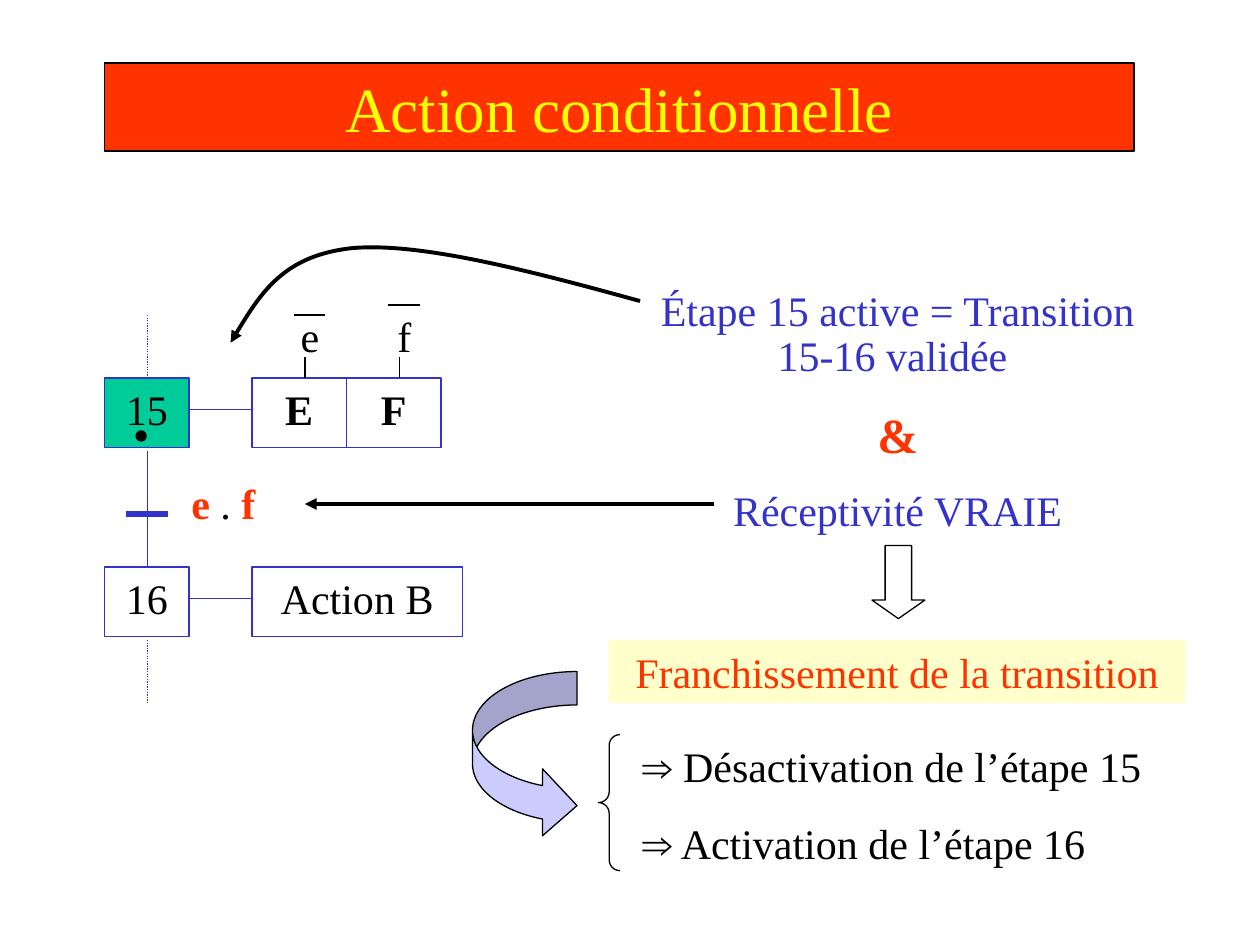
from lxml import etree
from pptx import Presentation
from pptx.dml.color import RGBColor
from pptx.enum import dml, shapes, text
from pptx.oxml import ns
from pptx.util import Inches, Pt

BLACK = RGBColor(0, 0, 0)
RED = RGBColor(0xFF, 0x33, 0x00)
YELLOW = RGBColor(0xFF, 0xFF, 0x00)
GREEN = RGBColor(0x00, 0xCC, 0x99)
BLUE = RGBColor(0x33, 0x33, 0xCC)
CREAM = RGBColor(0xFF, 0xFF, 0xCC)
LILAC = RGBColor(0xCC, 0xCC, 0xFF)
SERIF, SANS = "Times New Roman", "Arial"
KIND = shapes.MSO_SHAPE
CENTER, LEFT = text.PP_ALIGN.CENTER, text.PP_ALIGN.LEFT

# Runs: (text, colour, bold, size, font); only the first two are required
TITLE = [[("Action conditionnelle", YELLOW, False, 36)]]
RESULT = [[("Franchissement de la transition", RED)]]
RULE = [[("e", RED, True), (" . ", BLACK), ("f", RED, True)]]
CAUSES = [
    [("Étape 15 active = Transition 15-16 validée ", BLUE)],
    [("&", RED, True, 28)],
    [("Réceptivité VRAIE", BLUE)],
]
EFFECTS = [
    [("⇒", BLACK, False, 24, SANS), (" " + effect, BLACK)]
    for effect in ("Désactivation de l’étape 15", "Activation de l’étape 16")
]

# Grafcet boxes: label, left, top, width, fill, bold
ROW_A, ROW_B, BOX_H = 3, 4.5, 0.55
BOXES = [
    ("15", 0.83, ROW_A, 0.67, GREEN, False),
    ("E", 2, ROW_A, 0.75, None, True),
    ("F", 2.75, ROW_A, 0.75, None, True),
    ("16", 0.83, ROW_B, 0.67, None, False),
    ("Action B", 2, ROW_B, 1.67, None, False),
]
# Conditions: letter, left of its text, height of its bar
TESTS = [("e", 2.17, 2.5), ("f", 2.92, 2.42)]
AXIS = 1.17
WIRES = [
    (AXIS, 3.58, AXIS, ROW_B),
    (1.5, 3.25, 2, 3.25),
    (1.5, 4.75, 2, 4.75),
]
DOTTED = [(AXIS, 2.5, AXIS, ROW_A), (AXIS, 5.08, AXIS, 5.58)]
# Start, then two sets of Bezier control and end points
CURVE = [(1.83, 2.72), (2.04, 2.37), (2.25, 2.03), (2.79, 1.97),
         (3.33, 1.92), (4.21, 2.15), (5.08, 2.39)]

# Plain shapes: kind, box, fill, adjustments
SIGNS = [
    (KIND.DOWN_ARROW, (6.92, 4.33, 0.42, 0.58), None, (0.5, 0.35)),
    (KIND.CURVED_RIGHT_ARROW, (3.75, 5.33, 0.83, 1.33), LILAC,
     (0.32, 0.64, 0.33)),
    (KIND.LEFT_BRACE, (4.75, 5.83, 0.17, 1.08), None, (0.5, 0.5)),
    (KIND.OVAL, (1.08, 3.42, 0.08, 0.08), BLACK, ()),
]

prs = Presentation()
prs.slide_width, prs.slide_height = Inches(10), Inches(7.5)
slide = prs.slides.add_slide(prs.slide_layouts[6])


def paint(shape, fill, line):
    shape.shadow.inherit = False
    if fill is None:
        shape.fill.background()
    else:
        shape.fill.solid()
        shape.fill.fore_color.rgb = fill
    if line is None:
        shape.line.fill.background()
    else:
        shape.line.color.rgb = line
        shape.line.width = Pt(0.75)


def write(shape, paras, align=CENTER, pads=(0.05, 0.05), spacing=None):
    frame = shape.text_frame
    frame.word_wrap = True
    frame.vertical_anchor = text.MSO_ANCHOR.TOP
    frame.margin_left = frame.margin_right = Inches(0.1)
    frame.margin_top, frame.margin_bottom = map(Inches, pads)
    for i, runs in enumerate(paras):
        para = frame.add_paragraph() if i else frame.paragraphs[0]
        para.alignment = align
        if spacing:
            para.line_spacing = spacing
        for words, color, *style in runs:
            bold, size, name = style + [False, 24, SERIF][len(style):]
            run = para.add_run()
            run.text = words
            font = run.font
            font.name, font.size, font.bold = name, Pt(size), bold
            font.color.rgb = color
        para.space_before = Pt(size * 0.625)


def add_shape(kind, box, fill=None, line=None):
    shape = slide.shapes.add_shape(kind, *map(Inches, box))
    paint(shape, fill, line)
    return shape


def add_text(box, paras, **style):
    write(slide.shapes.add_textbox(*map(Inches, box)), paras, **style)


def add_tip(shape, end):
    line = shape.element.spPr.get_or_add_ln()
    etree.SubElement(line, ns.qn("a:" + end), type="triangle")


def add_line(ends, color, width=0.75, dash=None):
    wire = slide.shapes.add_connector(
        shapes.MSO_CONNECTOR.STRAIGHT, *map(Inches, ends))
    wire.line.color.rgb = color
    wire.line.width = Pt(width)
    if dash:
        wire.line.dash_style = dash
    etree.SubElement(wire.element.spPr, ns.qn("a:effectLst"))
    return wire


def add_curve(points):
    """Build an outline through the points, then bend each three into a Bezier."""
    start, *rest = [(Inches(x), Inches(y)) for x, y in points]
    pen = slide.shapes.build_freeform(*start)
    pen.add_line_segments(rest, close=False)
    curve = pen.convert_to_shape()
    paint(curve, None, BLACK)
    curve.line.width = Pt(2.25)
    steps = list(curve.element.iter(ns.qn("a:lnTo")))
    for i in range(0, len(steps), 3):
        bend = etree.Element(ns.qn("a:cubicBezTo"))
        steps[i].addprevious(bend)
        for step in steps[i:i + 3]:
            bend.append(step[0])
            step.getparent().remove(step)
    return curve


write(add_shape(KIND.RECTANGLE, (0.83, 0.5, 8.17, 0.7), RED, BLACK), TITLE)

# Grafcet on the left
TIGHT = (0.04, 0.11)
for label, left, top, width, fill, bold in BOXES:
    box = add_shape(KIND.RECTANGLE, (left, top, width, BOX_H), fill, BLUE)
    write(box, [[(label, BLACK, bold)]], pads=TIGHT)
for ends in WIRES:
    add_line(ends, BLUE)
for ends in DOTTED:
    add_line(ends, BLUE, dash=dml.MSO_LINE.ROUND_DOT)
add_line((1, 4.08, 1.33, 4.08), BLUE, 3)
add_text((1.42, 3.75, 1.25, BOX_H), RULE, align=LEFT, pads=TIGHT)
for letter, left, bar in TESTS:
    stem = left + 0.25
    add_line((stem, ROW_A, stem, 2.83), BLACK)
    add_text((left, 2.42, 0.58, BOX_H), [[(letter, BLACK)]], pads=TIGHT)
    add_line((left + 0.16, bar, left + 0.41, bar), BLACK)

# Explanation on the right
add_text((5, 2.25, 4.25, 2.05), CAUSES, spacing=0.9)
write(add_shape(KIND.RECTANGLE, (4.83, 5.08, 4.58, 0.5), CREAM), RESULT)
add_text((5, 5.83, 4.33, 1.11), EFFECTS, align=LEFT)
add_tip(add_line((5.67, 4, 2.42, 4), BLACK, 2.25), "tailEnd")
add_tip(add_curve(CURVE), "headEnd")
for kind, box, fill, tweaks in SIGNS:
    sign = add_shape(kind, box, fill, BLACK)
    for i, value in enumerate(tweaks):
        sign.adjustments[i] = value

prs.save("out.pptx")
